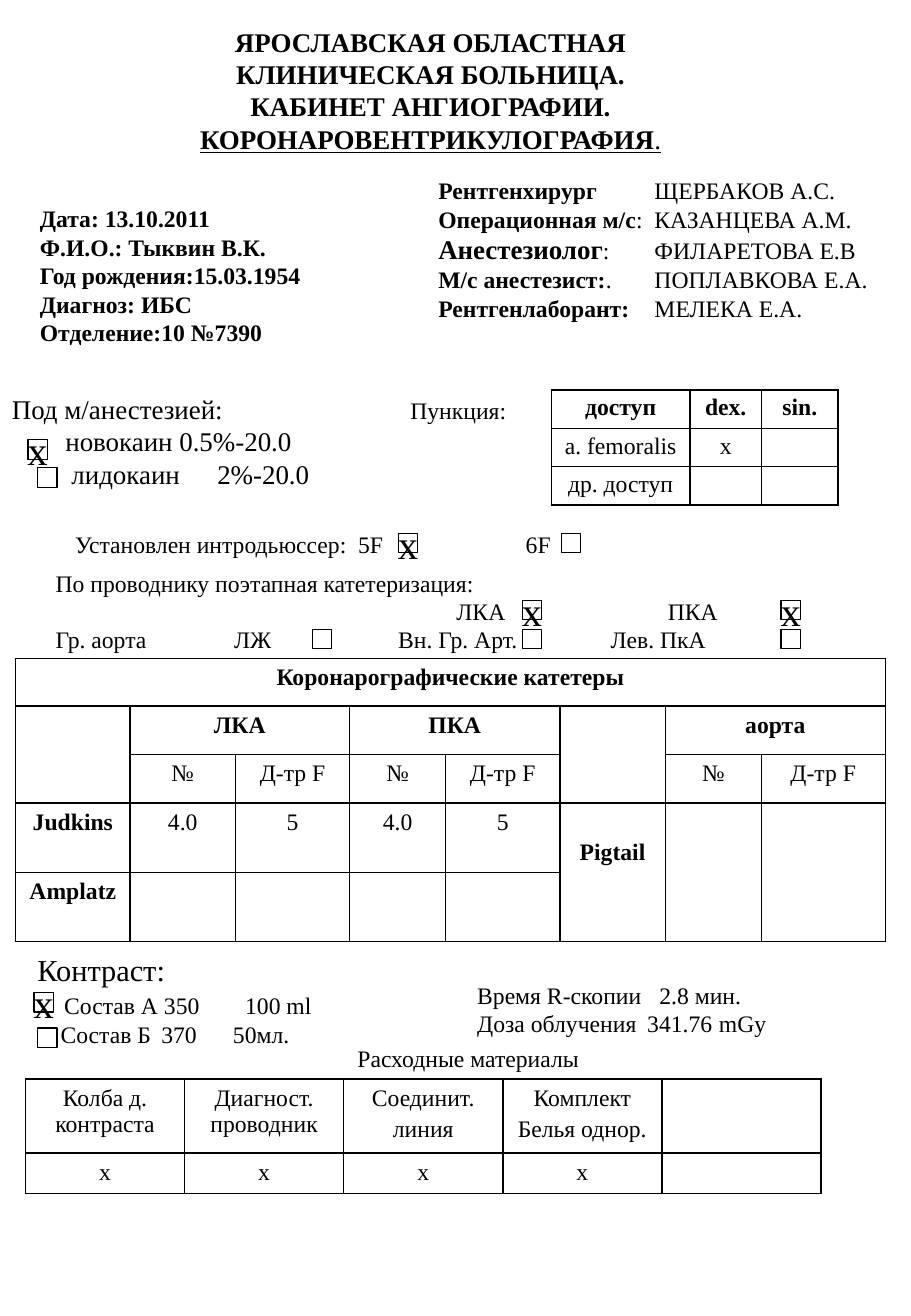
from dataclasses import dataclass

from lxml import etree
from pptx import Presentation
from pptx.dml.color import RGBColor
from pptx.enum.shapes import MSO_SHAPE
from pptx.enum.text import MSO_ANCHOR, PP_ALIGN
from pptx.oxml.ns import qn
from pptx.util import Inches, Pt

LEFT, CENTER = PP_ALIGN.LEFT, PP_ALIGN.CENTER
TOP, MIDDLE = MSO_ANCHOR.TOP, MSO_ANCHOR.MIDDLE
RECTANGLE = MSO_SHAPE.RECTANGLE


@dataclass(frozen=True)
class Theme:
    font: str = "Times New Roman"
    ink: RGBColor = RGBColor(0, 0, 0)
    body: int = 14
    large: int = 16
    heading: int = 18
    mark: int = 24
    border: float = 1
    box_line: float = 0.75
    box_side: float = 0.16
    table_gap: float = 2.8


THEME = Theme()
BOLD = {"bold": True}
LARGE = {"size": Pt(THEME.large)}


@dataclass
class Line:
    """One paragraph: (text, format) spans and tab stops in inches."""
    spans: list
    stops: tuple = ()
    before: float = 0


def line(text, *stops, before=0, **style):
    return Line([(text, style)], stops, before)


def add_span(para, text, style):
    span = para.add_run()
    span.text = text
    span.font.color.rgb = THEME.ink
    values = {"name": THEME.font, "size": Pt(THEME.body), **style}
    for name, value in values.items():
        setattr(span.font, name, value)


def write_lines(frame, lines, align=LEFT):
    for index, item in enumerate(lines):
        para = frame.paragraphs[0] if index == 0 else frame.add_paragraph()
        para.alignment = align
        if item.before:
            para.space_before = Pt(item.before)
        if item.stops:
            tabs = etree.SubElement(para._p.get_or_add_pPr(), qn("a:tabLst"))
            for stop in item.stops:
                etree.SubElement(tabs, qn("a:tab"), pos=str(Inches(stop)), algn="l")
        for text, style in item.spans:
            add_span(para, text, style)


def add_text(page, left, top, width, height, lines, align=LEFT, anchor=TOP):
    box = page.shapes.add_textbox(*map(Inches, (left, top, width, height)))
    box.text_frame.word_wrap = True
    box.text_frame.vertical_anchor = anchor
    write_lines(box.text_frame, lines, align)


def add_checkbox(page, left, top, checked=False):
    side = THEME.box_side
    box = page.shapes.add_shape(RECTANGLE, *map(Inches, (left, top, side, side)))
    box.shadow.inherit = False
    box.fill.background()
    box.line.color.rgb = THEME.ink
    box.line.width = Pt(THEME.box_line)
    if checked:
        box.text_frame.word_wrap = False
        box.text_frame.vertical_anchor = MIDDLE
        write_lines(box.text_frame, [line("х", size=Pt(THEME.mark))], CENTER)


def add_borders(cell):
    properties = cell._tc.get_or_add_tcPr()
    for index, side in enumerate(("a:lnL", "a:lnR", "a:lnT", "a:lnB")):
        edge = etree.Element(qn(side), w=str(Pt(THEME.border)))
        fill = etree.SubElement(edge, qn("a:solidFill"))
        etree.SubElement(fill, qn("a:srgbClr"), val=str(THEME.ink))
        properties.insert(index, edge)


def fill_cell(cell, text, bold):
    """Write a cell; each line of its text becomes a paragraph."""
    cell.fill.background()
    add_borders(cell)
    if text:
        lines = [line(part, before=THEME.table_gap if index else 0, bold=bold)
                 for index, part in enumerate(text.split("\n"))]
        write_lines(cell.text_frame, lines, CENTER)
    else:
        etree.SubElement(cell.text_frame.paragraphs[0]._p, qn("a:endParaRPr"),
                         sz=str(THEME.body * 100))


def add_grid(page, left, top, widths, heights, rows, bold=(), merges=(), margin=0.05):
    """Draw a table; bold lists texts, merges lists first and last cells."""
    size = (left, top, sum(widths), sum(heights))
    table = page.shapes.add_table(len(rows), len(widths), *map(Inches, size)).table
    table.first_row = table.horz_banding = False
    for column, width in zip(table.columns, widths):
        column.width = Inches(width)
    for row, height in zip(table.rows, heights):
        row.height = Inches(height)
    for row, texts in zip(table.rows, rows):
        for cell, text in zip(row.cells, texts):
            cell.margin_top = cell.margin_bottom = Inches(margin)
            fill_cell(cell, text, text in bold)
    for first, last in merges:
        table.cell(*first).merge(table.cell(*last))
    return table


def add_header(page):
    title = dict(LARGE, **BOLD)
    add_text(page, 0.17, 0, 6.75, 1.48, [
        line("ЯРОСЛАВСКАЯ ОБЛАСТНАЯ", **title),
        line("КЛИНИЧЕСКАЯ БОЛЬНИЦА.", **title),
        line("КАБИНЕТ АНГИОГРАФИИ.", **title),
        Line([("КОРОНАРОВЕНТРИКУЛОГРАФИЯ", dict(title, underline=True)),
              (".", dict(LARGE, underline=True))]),
    ], CENTER, MIDDLE)
    patient = ("Дата: 13.10.2011", "Ф.И.О.: Тыквин В.К.", "Год рождения:15.03.1954",
               "Диагноз: ИБС", "Отделение:10 №7390")
    add_text(page, 0.23, 1.2, 3.07, 2.13, [line(text, **BOLD) for text in patient],
             anchor=MIDDLE)
    staff = (("Рентгенхирург", "", "ЩЕРБАКОВ А.С.", {}),
             ("Операционная м/с", ":", "КАЗАНЦЕВА А.М.", {}),
             ("Анестезиолог", ":", "ФИЛАРЕТОВА Е.В", LARGE),
             ("М/с анестезист:", ".", "ПОПЛАВКОВА Е.А.", {}),
             ("Рентгенлаборант:", "", "МЕЛЕКА Е.А.", {}))
    add_text(page, 3.51, 1.4, 3.75, 1.31, [
        Line([(role, dict(BOLD, **style)), (f"{mark}\t{name}", {})], (1.78,))
        for role, mark, name, style in staff])


def add_access(page):
    add_text(page, 0, 3.18, 3.42, 0.9, [
        line("Под м/анестезией:", **LARGE),
        line("\tновокаин 0.5%-20.0", 0.44, **LARGE),
        line("\tлидокаин\t2%-20.0", 0.49, 1.69, **LARGE)])
    add_text(page, 3.28, 3.21, 0.99, 0.33, [line("Пункция:")])
    heads = ("доступ", "dex.", "sin.")
    add_grid(page, 4.54, 3.21, (1.14, 0.59, 0.63), [0.315] * 3,
             (heads, ("a. femoralis", "х", ""), ("др. доступ", "", "")),
             bold=heads, margin=0.04)
    add_text(page, 0.52, 4.31, 6.32, 0.33,
             [line("Установлен интродьюссер:\t5F\t6F", 2.33, 3.71)])
    add_text(page, 0.36, 4.63, 6.93, 0.8, [
        line("По проводнику поэтапная катетеризация:"),
        line("\tЛКА\tПКА", 3.3, 5.04),
        line("Гр. аорта\tЛЖ\tВн. Гр. Арт.\tЛев. ПкА", 1.47, 2.82, 4.57)])


def add_catheters(page):
    title, numbers = "Коронарографические катетеры", ("№", "Д-тр F")
    rows = ((title, *[""] * 7),
            ("", "ЛКА", "", "ПКА", "", "", "аорта", ""),
            ("", *numbers, *numbers, "", *numbers),
            ("Judkins", "4.0", "5", "4.0", "5", "Pigtail", "", ""),
            ("Amplatz", *[""] * 7))
    merges = [((0, 0), (0, 7))]
    merges += [((1, column), (1, column + 1)) for column in (1, 3, 6)]
    merges += [((1, column), (2, column)) for column in (0, 5)]
    merges += [((3, column), (4, column)) for column in (5, 6, 7)]
    table = add_grid(page, 0.13, 5.42, (0.94, 0.87, 0.94, 0.79, 0.94, 0.87, 0.79, 1.02),
                     (0.39, 0.4, 0.4, 0.57, 0.57), rows, merges=merges,
                     bold=(title, "ЛКА", "ПКА", "аорта", "Judkins", "Pigtail", "Amplatz"))
    table.cell(3, 5).margin_top = Inches(0.3)


def add_supplies(page):
    add_text(page, 0.21, 7.78, 3.72, 0.9, [
        line("Контраст:", size=Pt(THEME.heading)),
        line("\tСостав А 350\t100 ml", 0.22, 1.71, before=2),
        line("\tСостав Б\t370\t50мл.", 0.19, 1.02, 1.61)])
    add_text(page, 3.83, 8.02, 3.12, 0.57, [
        line("Время R-скопии\t2.8 мин.", 1.5),
        line("Доза облучения\t341.76\tmGy", 1.4, 1.99)])
    add_text(page, 0.47, 8.54, 6.77, 0.33, [line("Расходные материалы")], CENTER)
    add_grid(page, 0.21, 8.88, [1.31] * 5, (0.61, 0.33), (
        ("Колба д. контраста", "Диагност. проводник", "Соединит.\nлиния",
         "Комплект\nБелья однор.", ""),
        (*["х"] * 4, "")))


def main():
    deck = Presentation()
    deck.slide_width, deck.slide_height = Inches(7.5), Inches(10.83)
    page = deck.slides.add_slide(deck.slide_layouts[6])
    for add_section in (add_header, add_access, add_catheters, add_supplies):
        add_section(page)
    for left, top in ((0.23, 3.62), (3.28, 4.39), (4.3, 4.94), (6.43, 4.94), (0.28, 8.17)):
        add_checkbox(page, left, top, checked=True)
    for left, top in ((0.31, 3.85), (4.62, 4.39), (2.57, 5.18), (4.3, 5.18),
                      (6.43, 5.18), (0.31, 8.46)):
        add_checkbox(page, left, top)
    deck.save("out.pptx")


if __name__ == "__main__":
    main()
